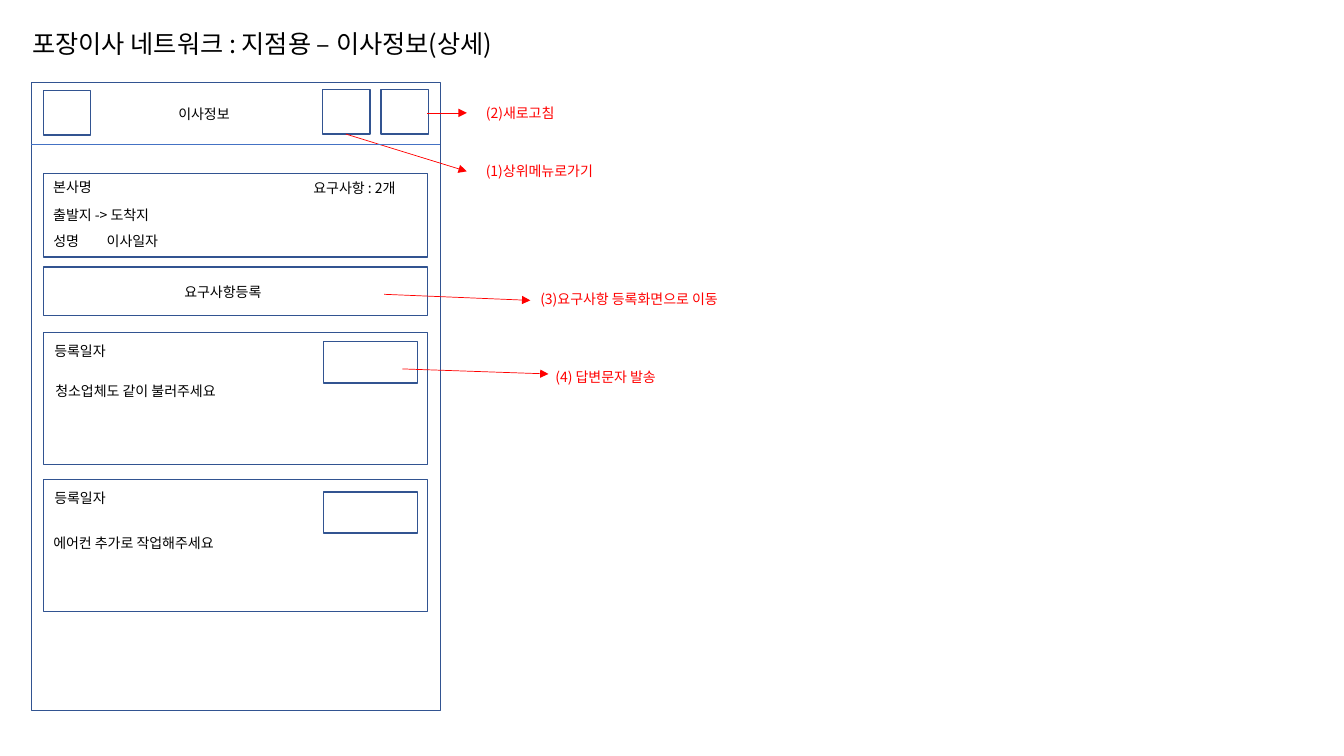
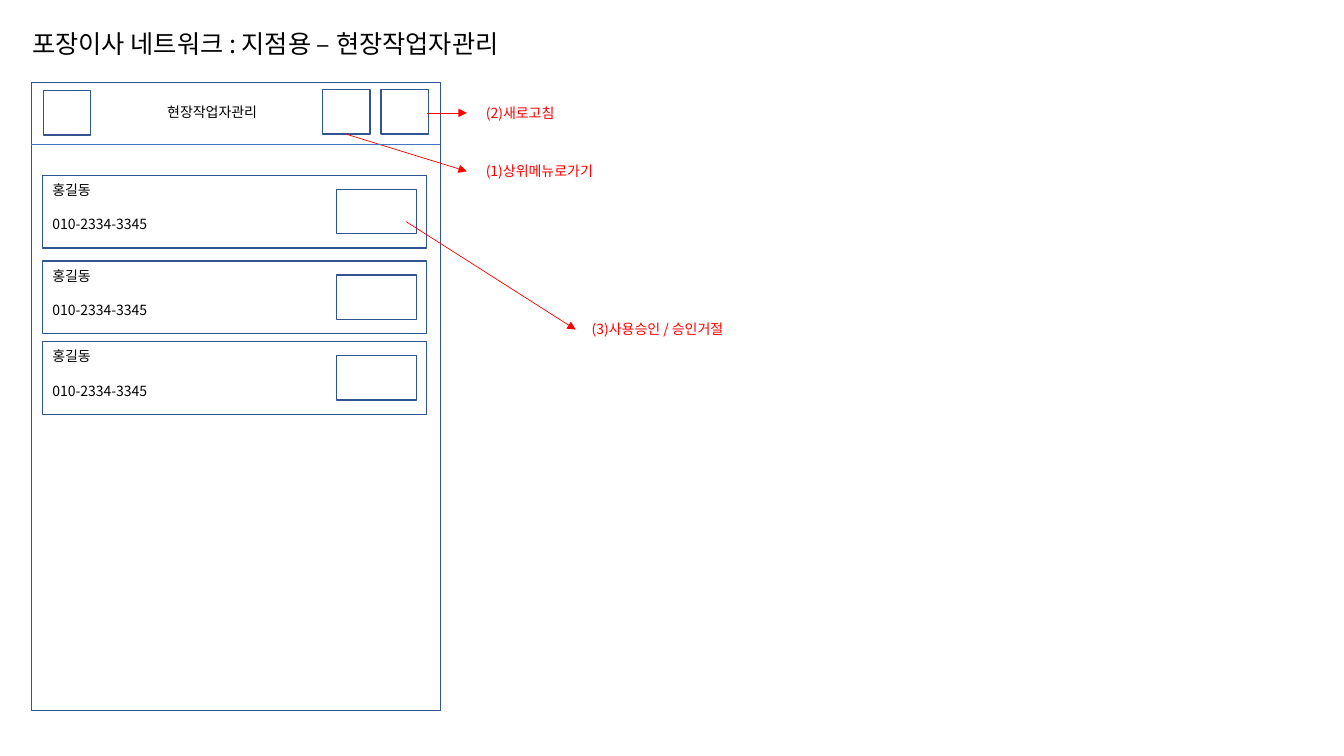
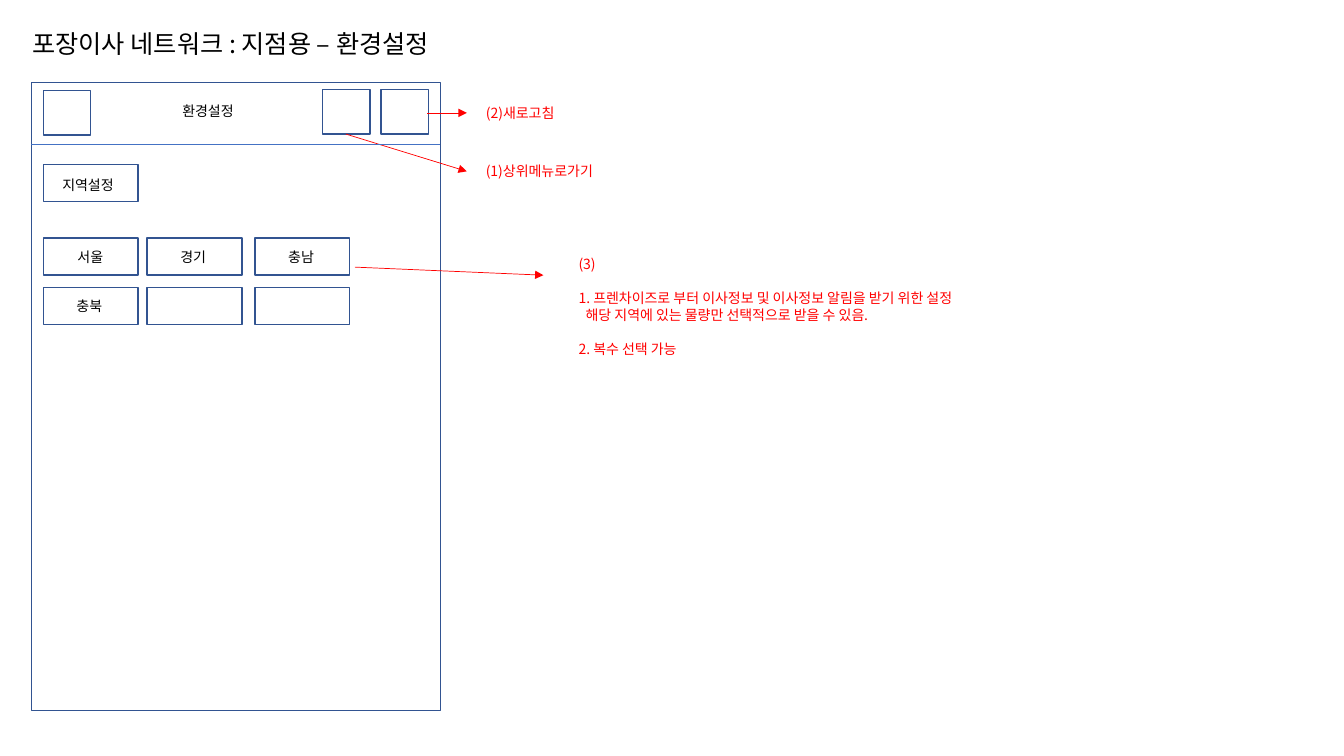
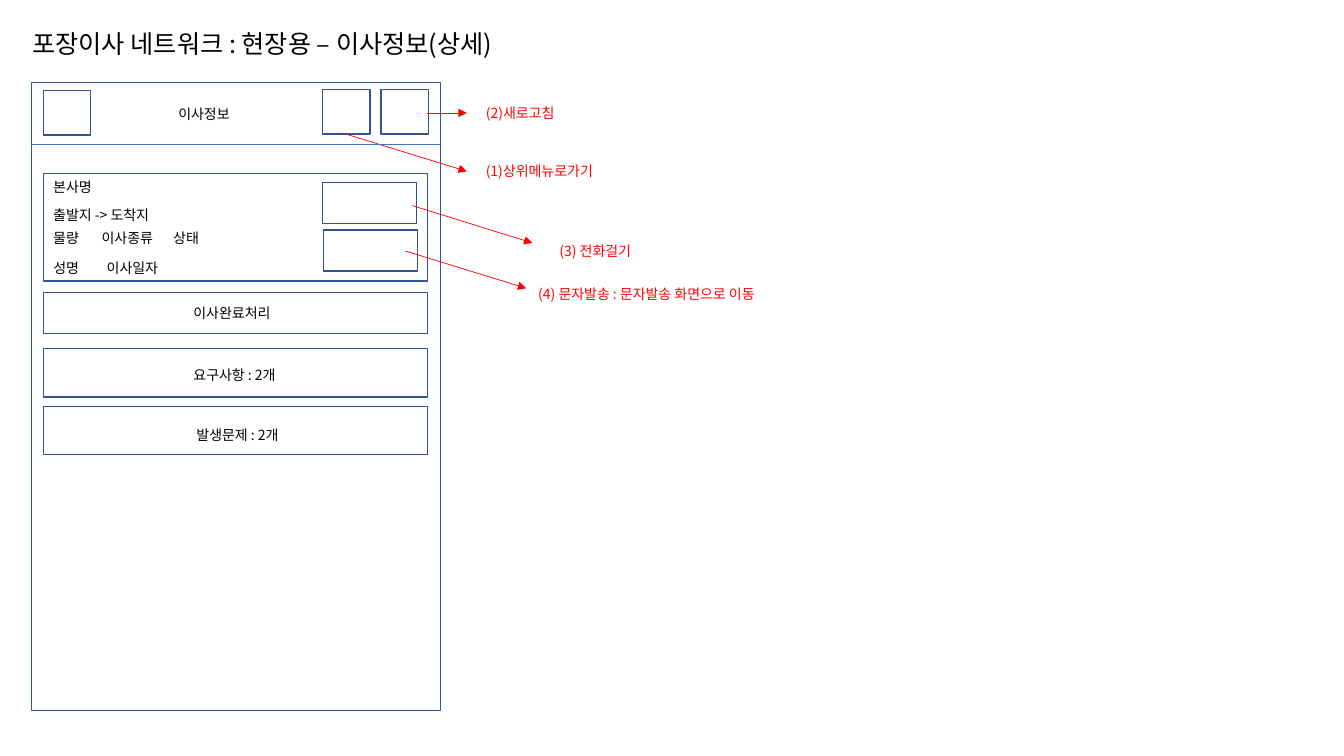
from dataclasses import dataclass

from pptx import Presentation
from pptx.dml.color import RGBColor
from pptx.enum.shapes import MSO_CONNECTOR, MSO_SHAPE
from pptx.enum.text import MSO_ANCHOR, MSO_AUTO_SIZE, PP_ALIGN
from pptx.oxml.ns import qn
from pptx.slide import Slide
from pptx.text.text import TextFrame
from pptx.util import Inches, Length, Pt
from lxml.etree import SubElement

FONT = "Noto Sans CJK KR"
COLORS = {"text": "000000", "note": "FF0000", "frame": "325491", "divider": "4472C4"}
TITLE_SIZE, BODY_SIZE = 18, 10
LINE_FACTOR = 1.22
SLIDE_WIDTH, SLIDE_HEIGHT = Inches(13.33), Inches(7.5)
CELL = Inches(0.1)
LABEL_PADDING, LABEL_LINE = 1, 1.7
CARD_LEFT, CARD_WIDTH = 4.3, 38.1


@dataclass(frozen=True)
class Frame:
    left: float
    top: float
    width: float
    height: float


@dataclass(frozen=True)
class Line:
    text: str
    gap_before: bool = False
    indent: float = 0


@dataclass(frozen=True)
class Label:
    left: float
    top: float
    width: float
    lines: tuple[Line, ...]
    color: str = "text"
    tabs: tuple[float, ...] = ()


@dataclass(frozen=True)
class Arrow:
    start: tuple[float, float]
    end: tuple[float, float]


Item = Frame | Label | Arrow


@dataclass(frozen=True)
class Screen:
    title: str
    items: list[Item]


def grid(cells: float) -> Length:
    return Length(round(cells * CELL))


def label(left: float, top: float, width: float, text: str, *tabs: float) -> Label:
    return Label(left, top, width, (Line(text),), tabs=tabs)


def note(left: float, top: float, width: float, *lines: Line) -> Label:
    return Label(left, top, width, lines, "note")


def card(top: float, height: float) -> Frame:
    return Frame(CARD_LEFT, top, CARD_WIDTH, height)


def small_button(left: float, top: float) -> Frame:
    return Frame(left, top, 9.3, 4.1)


def region_button(left: float, top: float) -> Frame:
    return Frame(left, top, 9.4, 3.7)


def worker_card(top: float) -> list[Item]:
    lines = (Line("홍길동"), Line("010-2334-3345", gap_before=True))
    return [
        Frame(4.2, top, CARD_WIDTH, 7.2),
        Label(4.2, top + 0.1, 12.2, lines),
        Frame(33.4, top + 1.4, 7.9, 4.4),
    ]


def request_card(top: float, button_top: float, message: Label) -> list[Item]:
    return [
        card(top, 13.1),
        label(4.4, top + 0.45, 7.6, "등록일자"),
        message,
        small_button(32.1, button_top),
    ]


def style_text(frame: TextFrame, size: float, color: str) -> None:
    frame.word_wrap = True
    frame.auto_size = MSO_AUTO_SIZE.NONE
    frame.vertical_anchor = MSO_ANCHOR.TOP
    for para in frame.paragraphs:
        para.alignment = PP_ALIGN.LEFT
        para.line_spacing = Pt(size * LINE_FACTOR)
        for span in para.runs:
            span.font.name = FONT
            span.font.size = Pt(size)
            span.font.color.rgb = RGBColor.from_string(COLORS[color])
            SubElement(span.font._element, qn("a:ea"), typeface=FONT)


def draw_title(page: Slide, text: str) -> None:
    title = page.shapes.title
    title.left, title.top, title.width, title.height = map(grid, (2.2, 2.3, 53.8, 4))
    title.text_frame.text = f"포장이사 네트워크 : {text}"
    style_text(title.text_frame, TITLE_SIZE, "text")


def draw_frame(page: Slide, item: Frame) -> None:
    box = page.shapes.add_shape(
        MSO_SHAPE.RECTANGLE,
        grid(item.left), grid(item.top), grid(item.width), grid(item.height),
    )
    box.shadow.inherit = False
    box.fill.background()
    box.line.color.rgb = RGBColor.from_string(COLORS["frame"])
    box.line.width = Pt(1)


def draw_label(page: Slide, item: Label) -> None:
    line_count = sum(1 + line.gap_before for line in item.lines)
    height = LABEL_PADDING + LABEL_LINE * line_count
    box = page.shapes.add_textbox(
        grid(item.left), grid(item.top), grid(item.width), grid(height)
    )
    frame = box.text_frame
    frame.text = "\n".join(line.text for line in item.lines)
    style_text(frame, BODY_SIZE, item.color)
    for para, line in zip(frame.paragraphs, item.lines):
        if line.gap_before:
            para.space_before = Pt(BODY_SIZE * LINE_FACTOR)
        properties = para._p.get_or_add_pPr()
        if line.indent:
            properties.set("marL", str(grid(line.indent)))
        if item.tabs:
            stops = SubElement(properties, qn("a:tabLst"))
            for position in item.tabs:
                SubElement(stops, qn("a:tab"), pos=str(grid(position)), algn="l")


def draw_line(page: Slide, item: Arrow, color: str, arrowhead: bool) -> None:
    connector = page.shapes.add_connector(
        MSO_CONNECTOR.STRAIGHT, *map(grid, item.start), *map(grid, item.end)
    )
    connector.line.color.rgb = RGBColor.from_string(COLORS[color])
    connector.line.width = Pt(0.5)
    if arrowhead:
        SubElement(connector.line._get_or_add_ln(), qn("a:tailEnd"), type="triangle")
    SubElement(connector._element.spPr, qn("a:effectLst"))


def draw_items(page: Slide, items: list[Item]) -> None:
    for item in items:
        if isinstance(item, Frame):
            draw_frame(page, item)
        elif isinstance(item, Label):
            draw_label(page, item)
        else:
            draw_line(page, item, "note", True)


PHONE = [
    Frame(3.1, 8.2, 40.6, 62.3),
    Frame(4.3, 9, 4.7, 4.4),
    Frame(32, 8.9, 4.7, 4.4),
    Frame(37.8, 8.9, 4.7, 4.4),
    Arrow((42.4, 11.2), (46.3, 11.2)),
    note(47.2, 9.9, 9.2, Line("(2)새로고침")),
    Arrow((34.3, 13.3), (46.3, 17)),
    note(47.2, 15.6, 13.4, Line("(1)상위메뉴로가기")),
]
HEADER_DIVIDER = Arrow((3.1, 14.3), (43.6, 14.3))
MOVE_HEADING = [
    label(16.7, 10, 7.6, "이사정보"),
    label(CARD_LEFT, 17.2, 16, "본사명"),
    label(CARD_LEFT, 20, 13, "출발지 -> 도착지"),
]
NAME_AND_DATE = "성명\t이사일자"
NAME_TAB = 5.3

branch_move = Screen("지점용 – 이사정보(상세)", [
    *MOVE_HEADING,
    card(17.2, 8.3),
    label(CARD_LEFT, 22.6, 13.9, NAME_AND_DATE, NAME_TAB),
    label(30.1, 17.3, 11.1, "요구사항 : 2개"),
    card(26.5, 4.8),
    label(17.3, 27.6, 10.4, "요구사항등록"),
    *request_card(33, 33.9, label(4.5, 37.4, 19.8, "청소업체도 같이 불러주세요")),
    *request_card(47.6, 48.8, label(4.3, 52.5, 19.8, "에어컨 추가로 작업해주세요")),
    Arrow((38.1, 29.2), (52.6, 29.8)),
    note(52.6, 28.3, 21.9, Line("(3)요구사항 등록화면으로 이동")),
    Arrow((39.9, 36.6), (54.4, 37.1)),
    note(54.1, 36, 13, Line("(4) 답변문자 발송")),
])

branch_workers = Screen("지점용 – 현장작업자관리", [
    label(15.6, 9.8, 11.8, "현장작업자관리"),
    *(item for top in (17.4, 25.9, 33.9) for item in worker_card(top)),
    note(57.7, 31.3, 16.4, Line("(3)사용승인 / 승인거절")),
    Arrow((40.3, 22), (57.1, 32.7)),
])

branch_settings = Screen("지점용 – 환경설정", [
    label(17.1, 9.7, 7.6, "환경설정"),
    region_button(4.3, 16.3),
    label(5.2, 17, 7.6, "지역설정"),
    *(region_button(left, top) for top in (23.6, 28.5) for left in (4.3, 14.6, 25.3)),
    label(6.7, 24.1, 4.8, "서울"),
    label(16.9, 24.1, 4.8, "경기"),
    label(27.6, 24.1, 4.8, "충남"),
    label(6.6, 29, 4.8, "충북"),
    Arrow((35.2, 26.5), (53.9, 27.3)),
    note(
        56.4, 24.8, 44,
        Line("(3)"),
        Line("1. 프렌차이즈로 부터 이사정보 및 이사정보 알림을 받기 위한 설정", gap_before=True),
        Line("해당 지역에 있는 물량만 선택적으로 받을 수 있음.", indent=0.7),
        Line("2. 복수 선택 가능", gap_before=True),
    ),
])

field_move = Screen("현장용 – 이사정보(상세)", [
    *MOVE_HEADING,
    card(17.2, 10.7),
    label(CARD_LEFT, 22.3, 18.6, "물량\t이사종류\t상태", 4.8, 11.9),
    label(CARD_LEFT, 25.2, 13.9, NAME_AND_DATE, NAME_TAB),
    small_button(32, 18.1),
    small_button(32.1, 22.8),
    Arrow((40.9, 20.4), (52.8, 24.1)),
    note(54.5, 23.5, 9.7, Line("(3) 전화걸기")),
    Arrow((40.2, 24.9), (52.2, 28.6)),
    note(52.4, 27.8, 26, Line("(4) 문자발송 : 문자발송 화면으로 이동")),
    card(29, 4.1),
    label(18.2, 29.7, 10.4, "이사완료처리"),
    card(34.6, 4.8),
    label(18.2, 35.8, 11.1, "요구사항 : 2개"),
    card(40.3, 4.8),
    label(18.5, 41.8, 11.1, "발생문제 : 2개"),
])


def main() -> None:
    deck = Presentation()
    deck.slide_width, deck.slide_height = SLIDE_WIDTH, SLIDE_HEIGHT
    title_only = deck.slide_layouts.get_by_name("Title Only")
    for screen in (branch_move, branch_workers, branch_settings, field_move):
        page = deck.slides.add_slide(title_only)
        draw_title(page, screen.title)
        draw_items(page, PHONE)
        draw_line(page, HEADER_DIVIDER, "divider", False)
        draw_items(page, screen.items)
    deck.save("out.pptx")


main()
